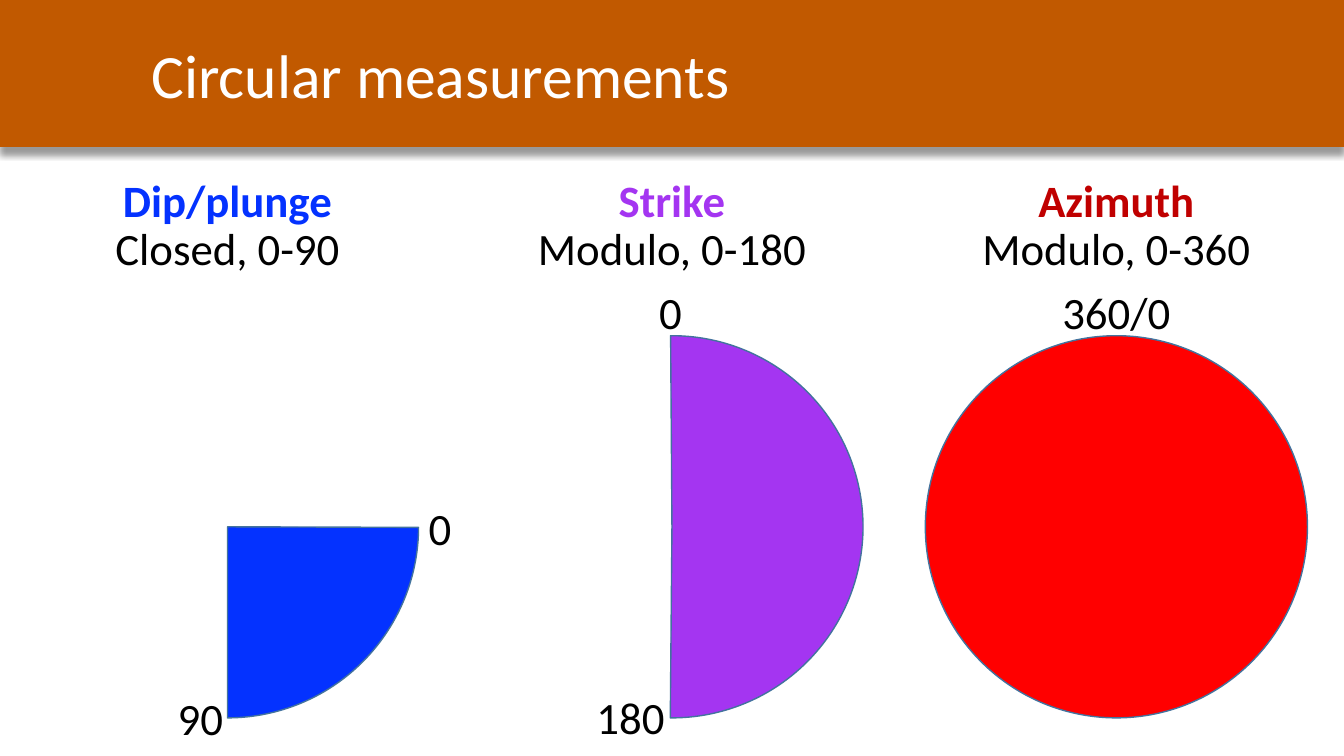
from pptx import Presentation
from pptx.dml.color import RGBColor
from pptx.enum.shapes import MSO_SHAPE
from pptx.enum.text import MSO_ANCHOR, MSO_AUTO_SIZE, PP_ALIGN
from pptx.oxml import parse_xml
from pptx.oxml.ns import nsdecls
from pptx.util import Cm, Pt

ORANGE = RGBColor(0xC1, 0x59, 0x00)
WHITE = RGBColor(0xFF, 0xFF, 0xFF)
BLACK = RGBColor(0x00, 0x00, 0x00)
BLUE = RGBColor(0x04, 0x32, 0xFF)
PURPLE = RGBColor(0xA4, 0x35, 0xF1)
RED = RGBColor(0xFF, 0x00, 0x00)
CRIMSON = RGBColor(0xC0, 0x00, 0x00)
EDGE = RGBColor(0x43, 0x73, 0x9E)

WIDE, HIGH = 33.87, 19.05
MID, STEP = WIDE / 2, 11.2
SIZE, TOP = 9.63, 8.46

deck = Presentation()
deck.slide_width, deck.slide_height = Cm(WIDE), Cm(HIGH)
slide = deck.slides.add_slide(deck.slide_layouts[5])
shapes = slide.shapes


def style(run, size, color, bold=False):
    looks = {"name": "Calibri", "size": Pt(size), "bold": bold}
    for key, value in looks.items():
        setattr(run.font, key, value)
    run.font.color.rgb = color


def label(text, x, y, width, color=BLACK, bold=False):
    """Add one line of text centred on x, with its box top at y, in cm."""
    box = shapes.add_textbox(Cm(x - width / 2), Cm(y), Cm(width), Cm(1.63))
    frame = box.text_frame
    frame.word_wrap = False
    frame.auto_size = MSO_AUTO_SIZE.SHAPE_TO_FIT_TEXT
    para = frame.paragraphs[0]
    para.alignment = PP_ALIGN.CENTER
    run = para.add_run()
    run.text = text
    style(run, 32, color, bold)


# Header band and title
band = shapes.add_shape(MSO_SHAPE.RECTANGLE, 0, 0, Cm(WIDE), Cm(3.7))
band.fill.solid()
band.fill.fore_color.rgb = ORANGE
band.line.fill.background()
band.element.spPr.append(parse_xml(
    f'<a:effectLst {nsdecls("a")}>'
    '<a:outerShdw blurRad="50800" dist="76200" dir="5400000" algn="t" rotWithShape="0">'
    '<a:srgbClr val="000000"><a:alpha val="40000"/></a:srgbClr>'
    '</a:outerShdw></a:effectLst>'))

title = shapes.title
band.element.addnext(title.element)
place = {"left": 3.56, "top": 0.3, "width": 30.3, "height": 3.1}
for key, value in place.items():
    setattr(title, key, Cm(value))
frame = title.text_frame
frame.text = "Circular measurements"
frame.vertical_anchor = MSO_ANCHOR.MIDDLE
frame.auto_size = MSO_AUTO_SIZE.NONE
frame.paragraphs[0].alignment = PP_ALIGN.LEFT
style(frame.paragraphs[0].runs[0], 44, WHITE)

# Columns: heading, colour, range, its width, fill, outline, arc in degrees
columns = [
    ("Dip/plunge", BLUE, "Closed, 0-90", 6.22, BLUE, MSO_SHAPE.PIE, (0.18, 90)),
    ("Strike", PURPLE, "Modulo, 0-180", 7.34, PURPLE, MSO_SHAPE.PIE, (269.6, 90.5)),
    ("Azimuth", CRIMSON, "Modulo, 0-360", 7.34, RED, MSO_SHAPE.OVAL, ()),
]
for i, (name, color, span, width, fill, kind, arc) in enumerate(columns):
    x = MID + (i - 1) * STEP
    label(name, x, 4.24, 5.8, color, True)
    label(span, x, 5.44, width)
    dial = shapes.add_shape(kind, Cm(x - SIZE / 2), Cm(TOP), Cm(SIZE), Cm(SIZE))
    dial.shadow.inherit = False
    dial.fill.solid()
    dial.fill.fore_color.rgb = fill
    dial.line.color.rgb = EDGE
    dial.line.width = Pt(1)
    for n, angle in enumerate(arc):
        dial.adjustments[n] = angle * 0.6  # 60000 units a degree, scaled by 100000

# Angle marks: text, centre, top, width
marks = [
    ("0", 11.09, 12.5, 1.09),
    ("90", 5.05, 17.27, 1.68),
    ("0", 16.9, 7.06, 1.09),
    ("180", 15.89, 17.25, 2.26),
    ("360/0", MID + STEP, 7.06, 3.28),
]
for mark in marks:
    label(*mark)

deck.save("out.pptx")
